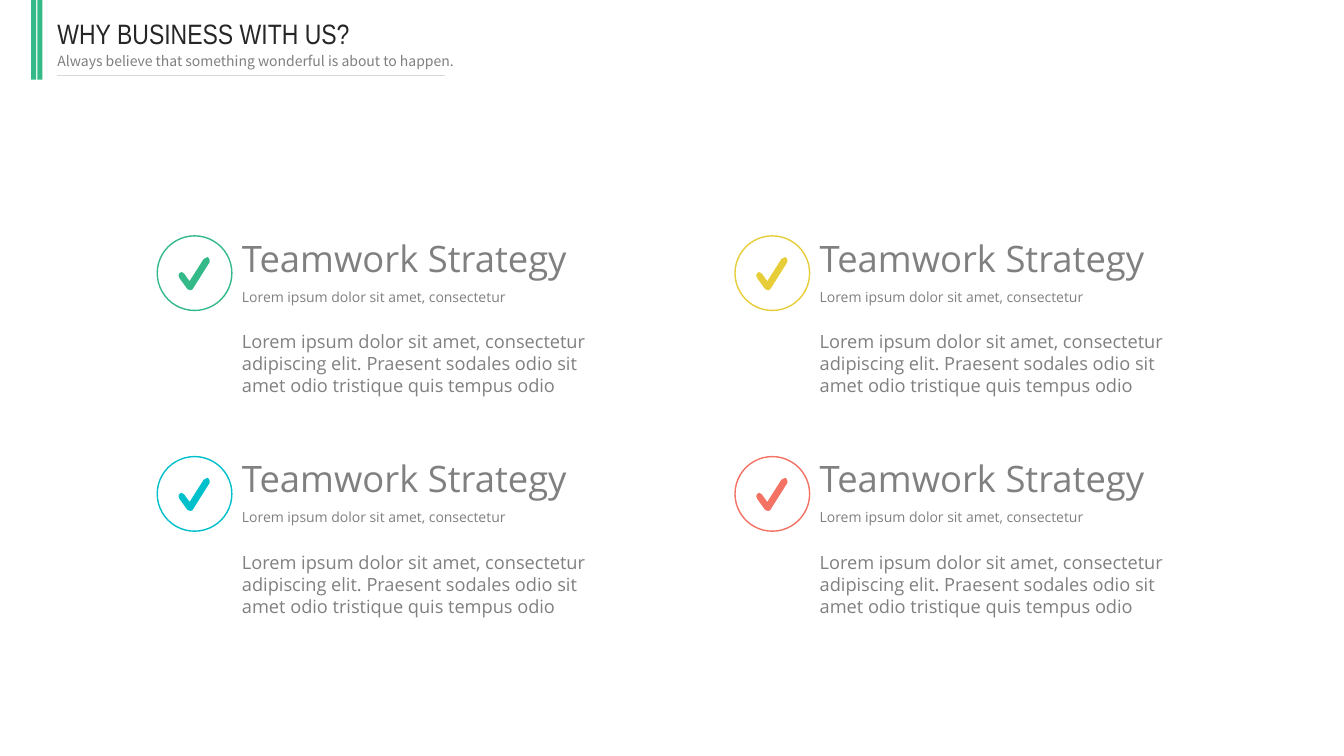
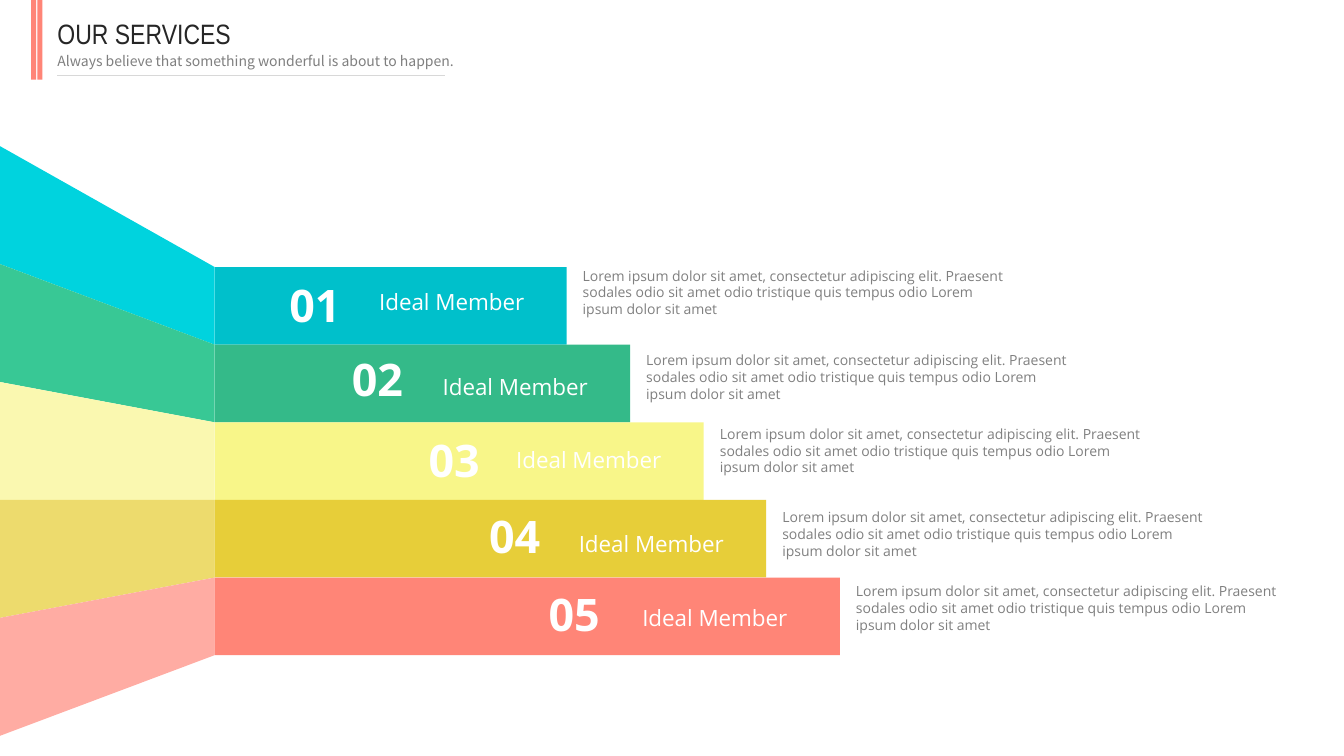
from itertools import product

from lxml.etree import SubElement
from pptx import Presentation
from pptx.dml.color import RGBColor
from pptx.enum.shapes import MSO_CONNECTOR as Connector, MSO_SHAPE as Shape
from pptx.enum.text import MSO_ANCHOR as Anchor, MSO_AUTO_SIZE as AutoSize, PP_ALIGN as Align
from pptx.oxml.ns import qn
from pptx.util import Inches, Pt

WHITE = RGBColor(0xFF, 0xFF, 0xFF)
INK = RGBColor(0x26, 0x26, 0x26)
GRAY = RGBColor(0x80, 0x80, 0x80)
TAGLINE_GRAY = RGBColor(0x7F, 0x7F, 0x7F)
RULE_GRAY = RGBColor(0xD8, 0xD8, 0xD8)
GREEN = RGBColor(0x34, 0xBA, 0x89)
TEAL = RGBColor(0x00, 0xC0, 0xCB)
GOLD = RGBColor(0xE7, 0xCE, 0x39)
RED = RGBColor(0xF4, 0x72, 0x64)
CORAL = RGBColor(0xFF, 0x85, 0x77)
LEMON = RGBColor(0xF8, 0xF6, 0x89)
LIGHT_TEAL = RGBColor(0x00, 0xD3, 0xDE)
LIGHT_GREEN = RGBColor(0x38, 0xC8, 0x95)
LIGHT_LEMON = RGBColor(0xFA, 0xF8, 0xB0)
LIGHT_GOLD = RGBColor(0xED, 0xDB, 0x6D)
LIGHT_CORAL = RGBColor(0xFF, 0xAC, 0xA3)

BODY_FONT = "Open Sans"
TITLE_FONT = "Arial Narrow"
TAGLINE_FONT = "Noto Sans CJK SC"
TAGLINE = "Always believe that something wonderful is about to happen."
LEAD = "Lorem ipsum dolor sit amet, consectetur"
SUMMARY = LEAD + " adipiscing elit. Praesent sodales odio sit amet odio tristique quis tempus odio"
DETAIL = SUMMARY + " Lorem ipsum dolor sit amet"

CHECK_OUTLINE = [
    (0.12, 0.33), (0.09, 0.32), (0.01, 0.21), (0, 0.18), (0.01, 0.16), (0.03, 0.15),
    (0.05, 0.16), (0.06, 0.17), (0.11, 0.24), (0.25, 0.02), (0.27, 0.01), (0.29, 0),
    (0.3, 0.01), (0.31, 0.03), (0.31, 0.05), (0.14, 0.32),
]


class Deck:
    """Hold the shared style and the slide being built."""

    def __init__(self):
        self.deck = Presentation()
        self.deck.slide_width, self.deck.slide_height = Inches(13.33), Inches(7.5)
        self.page = None

    def add_page(self, title, accent):
        self.page = self.deck.slides.add_slide(self.deck.slide_layouts[5])
        for left in (0.31, 0.37):
            self.shape(Shape.RECTANGLE, left, 0, 0.05, 0.79, fill=accent)
        box = self.page.shapes.title
        box.left, box.top, box.width, box.height = map(Inches, (0.52, 0.11, 4.23, 0.43))
        self.fill_text(box, title, 20, INK, TITLE_FONT)
        self.text(TAGLINE, 0.52, 0.47, 4.23, 0.27, 10, TAGLINE_GRAY, TAGLINE_FONT)
        self.rule(0.57, 4.41, 0.75)

    def paint(self, shape, fill=None, line=None):
        shape.shadow.inherit = False
        if fill is None:
            shape.fill.background()
        else:
            shape.fill.solid()
            shape.fill.fore_color.rgb = fill
        if line is None:
            shape.line.fill.background()
        else:
            shape.line.color.rgb = line
            shape.line.width = Pt(1)

    def shape(self, kind, left, top, width, height, fill=None, line=None):
        shape = self.page.shapes.add_shape(kind, *map(Inches, (left, top, width, height)))
        self.paint(shape, fill, line)

    def polygon(self, points, fill):
        corners = [(Inches(x), Inches(y)) for x, y in points]
        builder = self.page.shapes.build_freeform(*corners[0])
        builder.add_line_segments(corners[1:], close=True)
        self.paint(builder.convert_to_shape(), fill)

    def rule(self, left, right, top):
        ends = map(Inches, (left, top, right, top))
        line = self.page.shapes.add_connector(Connector.STRAIGHT, *ends)
        line.line.color.rgb = RULE_GRAY
        line.line.width = Pt(0.75)
        SubElement(line._element.spPr, qn("a:effectLst"))

    def text(self, words, left, top, width, height, size, color=GRAY, font=BODY_FONT,
             bold=False, align=Align.LEFT):
        box = self.page.shapes.add_textbox(*map(Inches, (left, top, width, height)))
        self.fill_text(box, words, size, color, font, bold, align)

    def fill_text(self, box, words, size, color, font, bold=False, align=Align.LEFT):
        frame = box.text_frame
        frame.word_wrap = True
        frame.auto_size = AutoSize.SHAPE_TO_FIT_TEXT
        frame.vertical_anchor = Anchor.TOP
        frame.margin_left = frame.margin_right = Inches(0.05)
        frame.margin_top = frame.margin_bottom = Inches(0.05)
        para = frame.paragraphs[0]
        para.alignment = align
        span = para.add_run()
        span.text = words
        span.font.name, span.font.size, span.font.bold = font, Pt(size), bold
        span.font.color.rgb = color

    def check_card(self, left, top, color):
        self.shape(Shape.OVAL, left, top, 0.74, 0.74, line=color)
        self.polygon([(left + 0.21 + x, top + 0.21 + y) for x, y in CHECK_OUTLINE], color)
        text_left = left + 0.79
        self.text("Teamwork Strategy", text_left, top - 0.05, 4.58, 0.53, 26)
        self.text(SUMMARY, text_left, top + 0.89, 3.85, 0.77, 13)
        self.text(LEAD, text_left, top + 0.47, 3.13, 0.27, 10)

    def service(self, index, color, light, width, label_at, number_at):
        left, height, flare = 2.13, 0.77, 1.17
        top, outer_top = 2.65 + index * height, 1.45 + index * flare
        right = left + width
        label_left, label_top = label_at
        self.polygon([(0, outer_top), (0, outer_top + flare), (left, top + height), (left, top)], light)
        self.shape(Shape.RECTANGLE, left, top, width, height, fill=color)
        self.text(DETAIL, right + 0.11, label_top - 0.21, 4.27, 0.6, 10)
        self.text("Ideal Member", label_left, label_top, 1.88, 0.36, 16, WHITE, align=Align.CENTER)
        self.text(f"{index + 1:02}", *number_at, 0.83, 0.63, 32, WHITE, bold=True, align=Align.CENTER)


def main():
    show = Deck()

    show.add_page("WHY BUSINESS WITH US?", GREEN)
    cells = product((1.56, 7.29), (2.34, 4.53))
    for (left, top), color in zip(cells, (GREEN, TEAL, GOLD, RED)):
        show.check_card(left, top, color)

    show.add_page("OUR SERVICES", CORAL)
    services = [
        (TEAL, LIGHT_TEAL, 3.49, (3.54, 2.81), (2.71, 2.71)),
        (GREEN, LIGHT_GREEN, 4.12, (4.17, 3.65), (3.33, 3.44)),
        (LEMON, LIGHT_LEMON, 4.85, (4.9, 4.38), (4.09, 4.24)),
        (GOLD, LIGHT_GOLD, 5.47, (5.52, 5.21), (4.69, 5)),
        (CORAL, LIGHT_CORAL, 6.2, (6.15, 5.94), (5.28, 5.77)),
    ]
    for index, service in enumerate(services):
        show.service(index, *service)

    show.deck.save("out.pptx")


if __name__ == "__main__":
    main()
